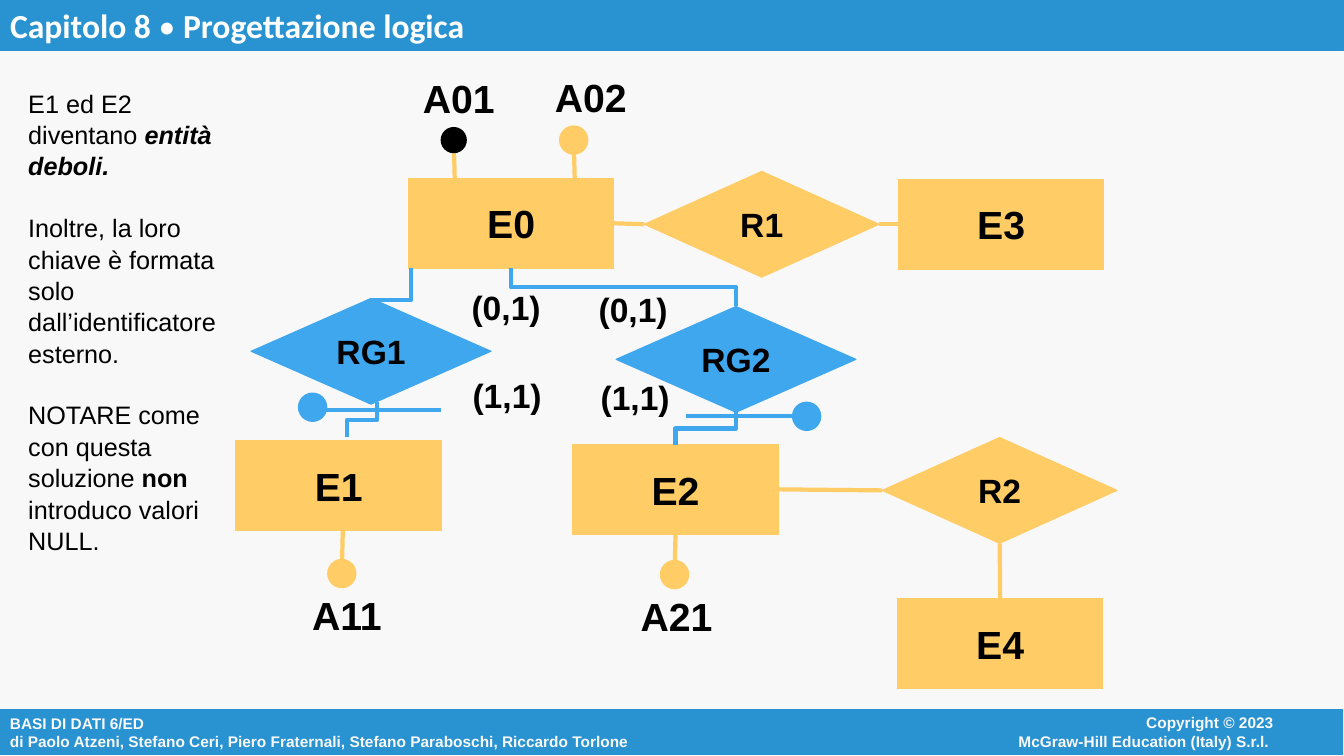
from lxml.etree import SubElement
from pptx import Presentation
from pptx.dml.color import RGBColor
from pptx.enum.shapes import MSO_CONNECTOR, MSO_SHAPE
from pptx.enum.text import MSO_ANCHOR, MSO_AUTO_SIZE, PP_ALIGN
from pptx.oxml.ns import qn
from pptx.util import Inches, Pt

PAPER = RGBColor(0xF8, 0xF8, 0xF8)
BAND = RGBColor(0x29, 0x93, 0xD1)
BLUE = RGBColor(0x3E, 0xA7, 0xEE)
AMBER = RGBColor(0xFF, 0xCC, 0x66)
BLACK = RGBColor(0, 0, 0)
WHITE = RGBColor(0xFF, 0xFF, 0xFF)

COLUMNS, ROWS = 133.3, 75
TOP, LEFT, BOTTOM, RIGHT = range(4)
ENTITY_SIZE = (20.4, 8.9)
LABEL_SIZE = (9, 5.6)
DOT = 2.5
STROKE = 3


def assign(target, values):
    for name, value in values.items():
        setattr(target, name, value)


class Diagram:
    def __init__(self, presentation):
        self.width = presentation.slide_width
        self.height = presentation.slide_height
        self.slide = presentation.slides.add_slide(presentation.slide_layouts[1])
        self.slide.background.fill.solid()
        self.slide.background.fill.fore_color.rgb = PAPER

    def x(self, columns):
        return round(self.width * columns / COLUMNS)

    def y(self, rows):
        return round(self.height * rows / ROWS)

    def box(self, left, top, width, height):
        return self.x(left), self.y(top), self.x(width), self.y(height)

    def place(self, shape, *box):
        assign(shape, dict(zip(("left", "top", "width", "height"), self.box(*box))))

    def paint(self, shape, fill, line=None, weight=0.75):
        shape.fill.solid()
        shape.fill.fore_color.rgb = fill
        shape.line.color.rgb = line or fill
        shape.line.width = Pt(weight)

    def compose(self, shape, paragraphs, size, color=BLACK, bold=True, font="Arial",
                align=PP_ALIGN.CENTER, anchor=MSO_ANCHOR.MIDDLE, wrap=True, spacing=None, gap=0):
        frame = shape.text_frame
        assign(frame, {"auto_size": MSO_AUTO_SIZE.NONE, "word_wrap": wrap,
                       "vertical_anchor": anchor,
                       "margin_left": Inches(0.1), "margin_right": Inches(0.1),
                       "margin_top": Inches(0.05), "margin_bottom": Inches(0.05)})
        for index, pieces in enumerate(paragraphs):
            paragraph = frame.add_paragraph() if index else frame.paragraphs[0]
            properties = paragraph._p.get_or_add_pPr()
            properties.attrib.update({"marL": "0", "indent": "0"})
            SubElement(properties, qn("a:buNone"))
            assign(paragraph, {"alignment": align, "line_spacing": spacing,
                               "space_before": Pt(gap if index else 0)})
            for words, changes in pieces:
                run = paragraph.add_run()
                run.text = words
                run.font.color.rgb = color
                assign(run.font, {"name": font, "size": Pt(size), "bold": bold, **changes})

    def shape(self, kind, box, fill, line=None, weight=0.75):
        shape = self.slide.shapes.add_shape(kind, *self.box(*box))
        shape.shadow.inherit = False
        self.paint(shape, fill, line, weight)
        return shape

    def entity(self, name, left, top):
        entity = self.shape(MSO_SHAPE.RECTANGLE, (left, top, *ENTITY_SIZE), AMBER)
        self.compose(entity, [[(name, {})]], 28)
        return entity

    def relation(self, name, left, top, width, color):
        relation = self.shape(MSO_SHAPE.DIAMOND, (left, top, width, 10.5), color)
        self.compose(relation, [[(name, {})]], 24, wrap=False)
        return relation

    def dot(self, center_x, center_y, color, weight=STROKE):
        box = (center_x - DOT / 2, center_y - DOT / 2, DOT, DOT)
        return self.shape(MSO_SHAPE.OVAL, box, color, weight=weight)

    def text(self, paragraphs, box, size, **style):
        text = self.slide.shapes.add_textbox(*self.box(*box))
        self.compose(text, paragraphs, size, **style)

    def label(self, words, center_x, center_y, size):
        width, height = LABEL_SIZE
        box = (center_x - width / 2, center_y - height / 2, width, height)
        self.text([[(words, {})]], box, size, wrap=False)

    def link(self, start, end, color, kind=MSO_CONNECTOR.STRAIGHT):
        link = self.slide.shapes.add_connector(kind, 0, 0, 0, 0)
        for point, edge, join in ((start, "begin", link.begin_connect),
                                  (end, "end", link.end_connect)):
            if isinstance(point[0], (int, float)):
                assign(link, {edge + "_x": self.x(point[0]), edge + "_y": self.y(point[1])})
            else:
                join(*point)
        link.line.color.rgb = color
        link.line.width = Pt(STROKE)
        SubElement(link._element.spPr, qn("a:effectLst"))
        return link

    def elbow(self, start, end, color, bend=50000):
        link = self.link(start, end, color, MSO_CONNECTOR.ELBOW)
        across, down = link.end_x - link.begin_x, link.end_y - link.begin_y
        middle_x = (link.begin_x + link.end_x) // 2
        middle_y = (link.begin_y + link.end_y) // 2
        assign(link, {"left": middle_x - down // 2, "top": middle_y - abs(across) // 2,
                      "width": down, "height": abs(across)})
        frame = link._element.spPr.find(qn("a:xfrm"))
        frame.attrib.update({"rot": "5400000", "flipH": "0", "flipV": str(int(across > 0))})
        guides = link._element.spPr.find(qn("a:prstGeom")).find(qn("a:avLst"))
        SubElement(guides, qn("a:gd"), name="adj1", fmla=f"val {bend}")


def main():
    presentation = Presentation()
    presentation.slide_width, presentation.slide_height = Inches(13.33), Inches(7.5)
    diagram = Diagram(presentation)
    chapter, remarks = diagram.slide.placeholders

    diagram.place(chapter, 0, 0, COLUMNS, 5)
    diagram.paint(chapter, BAND)
    diagram.compose(chapter, [[("Capitolo 8 ", {}), ("•", {"bold": False}),
                               (" Progettazione logica", {})]],
                    24, WHITE, font="Calibri", align=PP_ALIGN.LEFT)

    diagram.place(remarks, 1.8, 8.1, 21.8, 46)
    diagram.compose(remarks, [
        [("E1 ed E2 diventano ", {}), ("entità deboli.", {"bold": True, "italic": True})],
        [("Inoltre, la loro chiave è formata solo dall’identificatore esterno.", {})],
        [("NOTARE come con questa soluzione ", {}), ("non", {"bold": True}),
         (" introduco valori NULL.", {})],
    ], 18, bold=False, align=PP_ALIGN.LEFT, anchor=MSO_ANCHOR.TOP, spacing=1.04, gap=21.6)

    footer = diagram.shape(MSO_SHAPE.RECTANGLE, (0, 70.3, COLUMNS, 4.7), BAND, PAPER)
    diagram.compose(footer, [
        [("BASI DI DATI 6/ED", {})],
        [("di Paolo Atzeni, Stefano Ceri, Piero Fraternali, Stefano Paraboschi, "
          "Riccardo Torlone", {})],
    ], 11, PAPER, align=PP_ALIGN.LEFT)
    diagram.text([[("Copyright © 2023", {})], [("McGraw-Hill Education (Italy) S.r.l. ", {})]],
                 (88.9, 70.3, 38.4, 4.6), 11, color=PAPER, align=PP_ALIGN.RIGHT)

    rg2 = diagram.relation("RG2", 61.1, 30.4, 23.8, BLUE)
    diagram.relation("RG1", 24.9, 29.6, 23.8, BLUE)
    r1 = diagram.relation("R1", 63.9, 17, 23.3, AMBER)
    r2 = diagram.relation("R2", 87.5, 43.4, 23.3, AMBER)
    e0, e1, e2, e3, e4 = [
        diagram.entity(name, left, top) for name, left, top in (
            ("E0", 40.5, 17.7), ("E1", 23.4, 43.7), ("E2", 56.8, 44.1),
            ("E3", 89.1, 17.8), ("E4", 89, 59.4))]

    for start, end in (((e0, RIGHT), (r1, LEFT)), ((r1, RIGHT), (e3, LEFT)),
                       ((e2, RIGHT), (r2, LEFT)), ((r2, BOTTOM), (e4, TOP))):
        diagram.link(start, end, AMBER)

    diagram.elbow((40.8, 26.6), (36.7, 29.8), BLUE, bend=100000)
    diagram.elbow((e0, BOTTOM), (rg2, TOP), BLUE)
    diagram.elbow((37.4, 39.9), (34.4, 43.4), BLUE)
    diagram.elbow((rg2, BOTTOM), (e2, TOP), BLUE)

    for bar_start, bar_end, bar_y, dot_x, dot_y in ((32, 43.7, 40.7, 31, 40.4),
                                                   (68, 79.7, 41.3, 80, 41.3)):
        diagram.link((bar_start, bar_y), (bar_end, bar_y), BLUE)
        diagram.dot(dot_x, dot_y, BLUE)

    for cardinality, center_x, center_y in (("(0,1)", 50.2, 30.5), ("(0,1)", 62.8, 30.7),
                                            ("(1,1)", 50.3, 39.2), ("(1,1)", 63, 39.4)):
        diagram.label(cardinality, center_x, center_y, 24)

    for attribute, label_x, label_y, dot_x, dot_y, root, color, weight in (
            ("A01", 45.5, 9.7, 45, 13.9, (45.1, 17.7), BLACK, 0.75),
            ("A02", 58.6, 9.6, 56.9, 13.9, (57, 17.7), AMBER, STROKE),
            ("A11", 34.4, 61, 33.9, 56.9, (34, 52.6), AMBER, STROKE),
            ("A21", 67.1, 61.1, 66.9, 57, (e2, BOTTOM), AMBER, STROKE)):
        diagram.link(root, (dot_x, dot_y), AMBER)
        diagram.dot(dot_x, dot_y, color, weight)
        diagram.label(attribute, label_x, label_y, 28)

    presentation.save("out.pptx")


if __name__ == "__main__":
    main()
